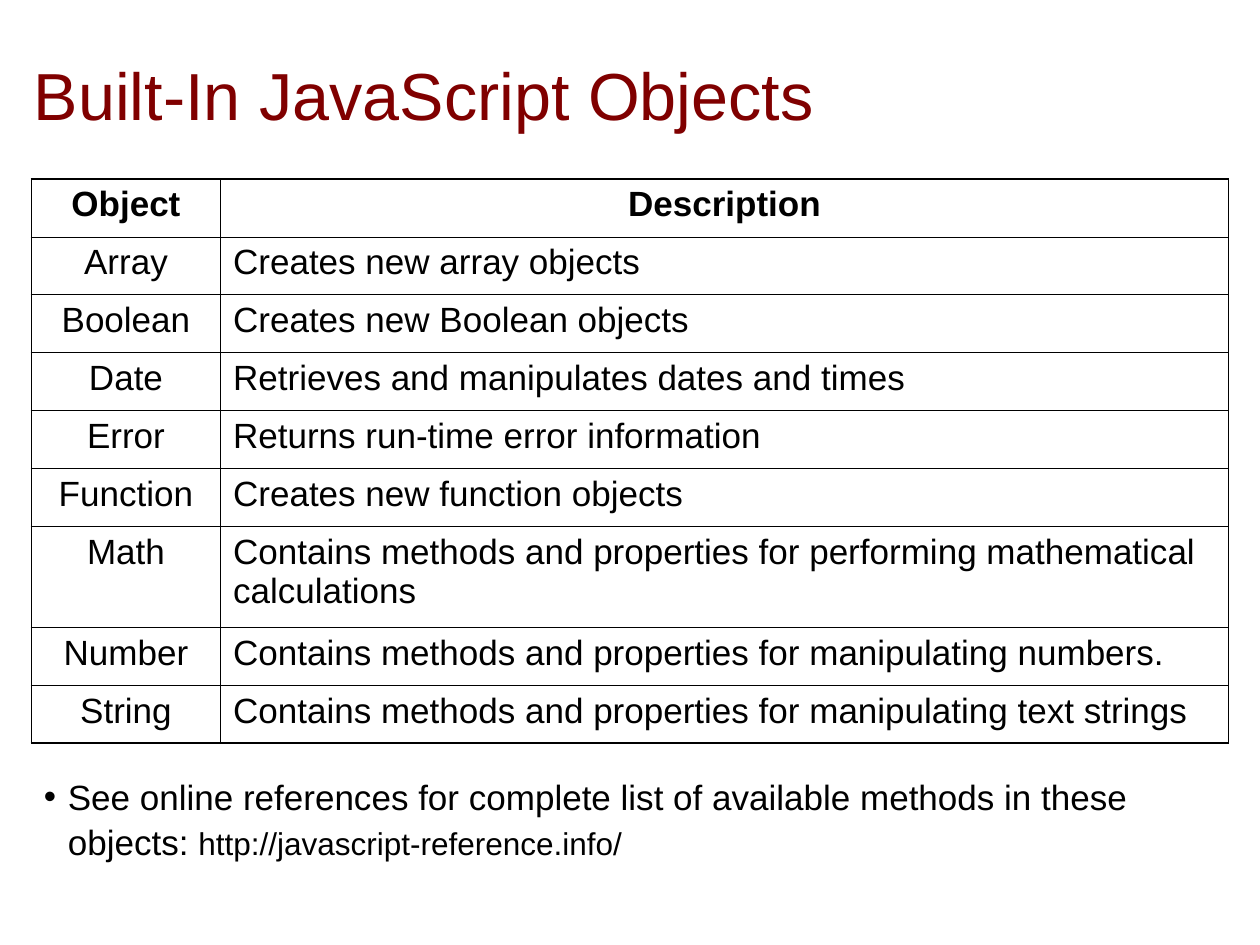
from lxml import etree
from pptx import Presentation
from pptx.dml.color import RGBColor
from pptx.enum.text import MSO_ANCHOR, PP_ALIGN
from pptx.oxml.ns import qn
from pptx.util import Pt

PX = 9144  # 100 px to the inch
FONT = "Arial"
COLORS = {"title": "800000", "text": "000000", "border": "000000"}
LEFT, CENTER = PP_ALIGN.LEFT, PP_ALIGN.CENTER
TOP, MIDDLE = MSO_ANCHOR.TOP, MSO_ANCHOR.MIDDLE
OUTER, INNER = 1.08, 0.45  # border widths in points
ROW, TALL_ROW = 46, 80
COLUMNS = (150, 800)

OBJECTS = [
    ("Object", "Description"),
    ("Array", "Creates new array objects"),
    ("Boolean", "Creates new Boolean objects"),
    ("Date", "Retrieves and manipulates dates and times"),
    ("Error", "Returns run-time error information"),
    ("Function", "Creates new function objects"),
    ("Math", "Contains methods and properties for performing mathematical calculations"),
    ("Number", "Contains methods and properties for manipulating numbers."),
    ("String", "Contains methods and properties for manipulating text strings"),
]


def add_run(p, text, size, color="text", bold=False):
    r = p.add_run()
    r.text = text
    r.font.name = FONT
    r.font.size = Pt(size)
    r.font.bold = bold
    r.font.color.rgb = RGBColor.from_string(COLORS[color])


def add_text_box(slide, x, y, w, h, anchor=TOP):
    """Add a wrapping text box and return its first paragraph."""
    tf = slide.shapes.add_textbox(x * PX, y * PX, w * PX, h * PX).text_frame
    tf.word_wrap = True
    tf.vertical_anchor = anchor
    return tf.paragraphs[0]


def set_bullet(p, indent):
    pPr = p._p.get_or_add_pPr()
    pPr.set("marL", str(indent * PX))
    pPr.set("indent", str(-indent * PX))
    color = etree.SubElement(pPr, qn("a:buClr"))
    etree.SubElement(color, qn("a:srgbClr"), val=COLORS["text"])
    etree.SubElement(pPr, qn("a:buFont"), typeface=FONT)
    etree.SubElement(pPr, qn("a:buChar"), char="•")


def set_borders(cell, on_edge):
    """Draw all four borders, heavier on the sides at the table's edge."""
    tcPr = cell._tc.get_or_add_tcPr()
    for side in "LRTB":
        width = OUTER if on_edge[side] else INNER
        ln = etree.SubElement(tcPr, qn("a:ln" + side), w=str(Pt(width)))
        fill = etree.SubElement(ln, qn("a:solidFill"))
        etree.SubElement(fill, qn("a:srgbClr"), val=COLORS["border"])


def add_objects_table(slide, x, y):
    heights = [TALL_ROW if name == "Math" else ROW for name, _ in OBJECTS]
    table = slide.shapes.add_table(
        len(OBJECTS), len(COLUMNS), x * PX, y * PX,
        sum(COLUMNS) * PX, sum(heights) * PX).table
    table.first_row = table.horz_banding = False
    for column, width in zip(table.columns, COLUMNS):
        column.width = width * PX
    for i, (texts, height) in enumerate(zip(OBJECTS, heights)):
        table.rows[i].height = height * PX
        for j, text in enumerate(texts):
            cell = table.cell(i, j)
            set_borders(cell, {"L": j == 0, "R": j == len(COLUMNS) - 1,
                               "T": i == 0, "B": i == len(OBJECTS) - 1})
            cell.fill.background()
            p = cell.text_frame.paragraphs[0]
            p.alignment = CENTER if i == 0 or j == 0 else LEFT
            p.space_before = Pt(5)
            add_run(p, text, 20, bold=i == 0)


def main():
    prs = Presentation()
    prs.slide_width, prs.slide_height = 1000 * PX, 750 * PX
    slide = prs.slides.add_slide(prs.slide_layouts[6])

    title = add_text_box(slide, 17, 33, 975, 83, MIDDLE)
    add_run(title, "Built-In JavaScript Objects", 38, "title")

    add_objects_table(slide, 25, 142)

    note = add_text_box(slide, 25, 608, 958, 117)
    note.space_before = Pt(11.2)
    note.line_spacing = 1.07
    set_bullet(note, 19)
    add_run(note, "See online references for complete list of available methods in these objects: ", 20)
    add_run(note, "http://javascript-reference.info/", 18)

    prs.save("out.pptx")


if __name__ == "__main__":
    main()
